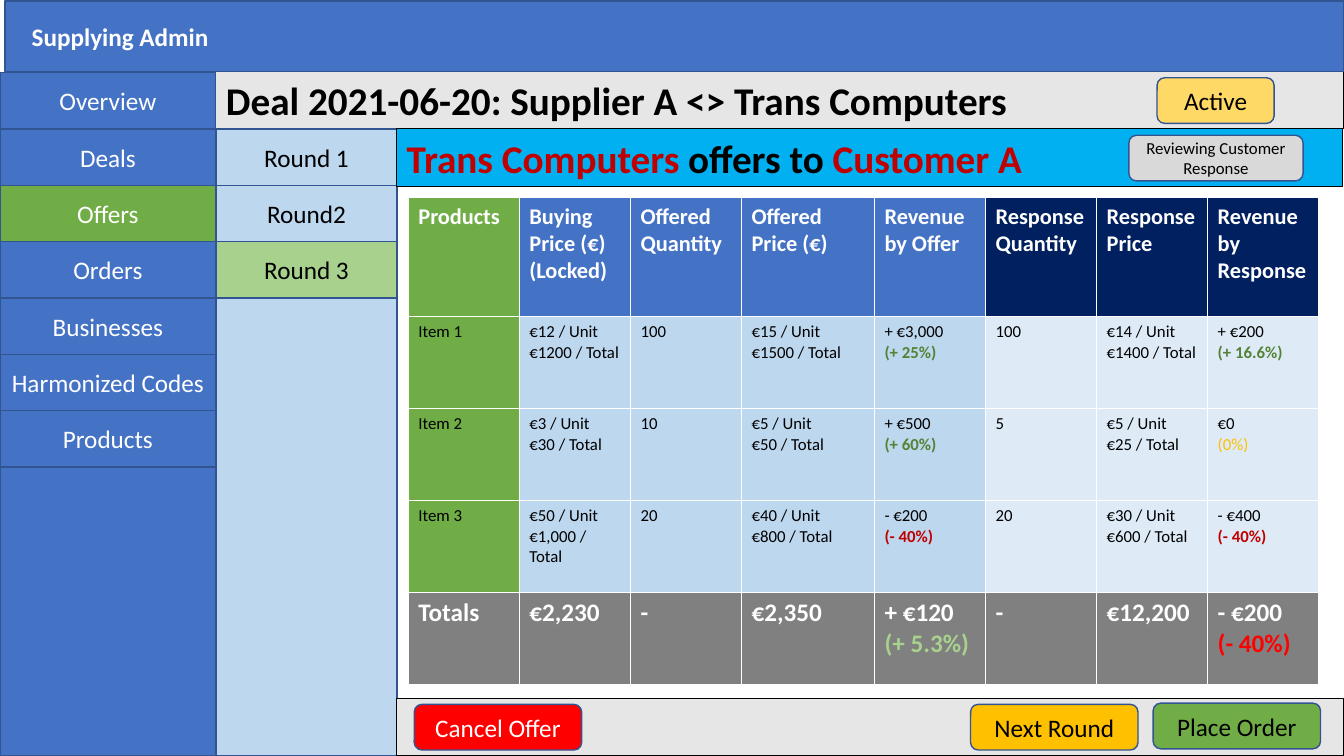
from pptx import Presentation
from pptx.dml.color import RGBColor
from pptx.enum.shapes import MSO_SHAPE
from pptx.enum.text import MSO_ANCHOR, MSO_AUTO_SIZE, PP_ALIGN
from pptx.util import Cm, Pt

WHITE = RGBColor(0xFF, 0xFF, 0xFF)
BLACK = RGBColor(0, 0, 0)
BLUE = RGBColor(0x44, 0x72, 0xC4)
EDGE = RGBColor(0x32, 0x54, 0x91)
NAVY = RGBColor(0, 0x20, 0x60)
SKY = RGBColor(0, 0xB0, 0xF0)
PALE = RGBColor(0xBD, 0xD7, 0xEE)
ICE = RGBColor(0xDE, 0xEB, 0xF7)
GREEN = RGBColor(0x70, 0xAD, 0x47)
MINT = RGBColor(0xA9, 0xD1, 0x8E)
FOREST = RGBColor(0x54, 0x82, 0x35)
RED = RGBColor(0xFF, 0, 0)
CRIMSON = RGBColor(0xC0, 0, 0)
GOLD = RGBColor(0xFF, 0xC0, 0)
YELLOW = RGBColor(0xFF, 0xD9, 0x66)
LIGHT = RGBColor(0xE7, 0xE6, 0xE6)
SILVER = RGBColor(0xD9, 0xD9, 0xD9)
GREY = RGBColor(0x80, 0x80, 0x80)


def style(part, size, color, bold=False):
    for run in part.runs:
        run.font.name = "Calibri"
        run.font.size = Pt(size)
        run.font.bold = bold
        run.font.color.rgb = color


def box(x, y, w, h, fill, text="", color=BLACK, size=18, kind=MSO_SHAPE.RECTANGLE):
    """Add an outlined shape with centred text; lengths are in centimetres."""
    shape = slide.shapes.add_shape(kind, Cm(x), Cm(y), Cm(w), Cm(h))
    shape.shadow.inherit = False
    shape.fill.solid()
    shape.fill.fore_color.rgb = fill
    shape.line.color.rgb = EDGE
    shape.line.width = Pt(1)
    if text:
        shape.text_frame.text = text
        shape.text_frame.vertical_anchor = MSO_ANCHOR.MIDDLE
        line = shape.text_frame.paragraphs[0]
        line.alignment = PP_ALIGN.CENTER
        style(line, size, color)
    return shape


deck = Presentation()
deck.slide_width = Cm(33.87)
deck.slide_height = Cm(19.05)
slide = deck.slides.add_slide(deck.slide_layouts[5])

# Top bar and side menu
box(0, 1.83, 5.44, 17.22, BLUE)
top = box(0.13, 0.03, 33.74, 1.77, BLUE, "Supplying Admin")
top.text_frame.margin_left = Cm(0.67)
label = top.text_frame.paragraphs[0]
label.alignment = PP_ALIGN.LEFT
style(label, 18, WHITE, True)

STEP = 1.42
menu = ["Overview", "Deals", "Offers", "Orders", "Businesses",
        "Harmonized Codes", "Products"]
for i, name in enumerate(menu):
    fill = GREEN if name == "Offers" else BLUE
    box(0, 1.83 + i * STEP, 5.44, STEP, fill, name, WHITE)

# Deal title
title = slide.shapes.title
title.left, title.top, title.width, title.height = Cm(5.44), Cm(1.8), Cm(28.43), Cm(1.45)
title.fill.solid()
title.fill.fore_color.rgb = LIGHT
title.line.color.rgb = BLACK
title.line.width = Pt(0.75)
frame = title.text_frame
frame.text = "Deal 2021-06-20: Supplier A <> Trans Computers"
frame.auto_size = MSO_AUTO_SIZE.NONE
frame.vertical_anchor = MSO_ANCHOR.TOP
frame.paragraphs[0].alignment = PP_ALIGN.LEFT
style(frame.paragraphs[0], 28, BLACK, True)

# Rounds column
box(5.44, 3.27, 4.57, 15.78, PALE)
for i, name in enumerate(["Round 1", "Round2", "Round 3"]):
    box(5.44, 3.25 + i * STEP, 4.57, STEP, MINT if i == 2 else PALE, name)

# Offer strip and footer bar
strip = box(10, 3.25, 23.83, 1.45, SKY)
foot = box(10, 17.6, 23.87, 1.45, LIGHT)
for bar in (strip, foot):
    bar.line.color.rgb = BLACK
    bar.line.width = Pt(0.75)
strip.text_frame.vertical_anchor = MSO_ANCHOR.TOP
line = strip.text_frame.paragraphs[0]
line.alignment = PP_ALIGN.LEFT
words = [("Trans Computers", CRIMSON), (" offers to ", BLACK), ("Customer A", CRIMSON)]
for text, color in words:
    line.add_run().text = text
style(line, 28, BLACK, True)
for run, (text, color) in zip(line.runs, words):
    run.font.color.rgb = color

# Status badges and buttons
for x, y, w, fill, text, color, size in [
    (29.16, 1.96, 2.95, YELLOW, "Active", BLACK, 18),
    (28.45, 3.41, 4.39, SILVER, "Reviewing Customer Response", BLACK, 12),
    (10.44, 17.75, 4.22, RED, "Cancel Offer", WHITE, 18),
    (24.46, 17.75, 4.22, GOLD, "Next Round", BLACK, 18),
    (29.06, 17.72, 4.22, GREEN, "Place Order", BLACK, 18),
]:
    box(x, y, w, 1.15, fill, text, color, size, MSO_SHAPE.ROUNDED_RECTANGLE)

# Offer table
rows = [
    ["Products", "Buying Price (€)\n(Locked)", "Offered Quantity", "Offered Price (€)",
     "Revenue by Offer", "Response Quantity", "Response Price", "Revenue by Response"],
    ["Item 1", "€12 / Unit\n€1200 / Total", "100", "€15 / Unit\n€1500 / Total",
     "+ €3,000\n(+ 25%)", "100", "€14 / Unit\n€1400 / Total", "+ €200\n(+ 16.6%)"],
    ["Item 2", "€3 / Unit\n€30 / Total", "10", "€5 / Unit\n€50 / Total",
     "+ €500\n(+ 60%)", "5", "€5 / Unit\n€25 / Total", "€0\n(0%)"],
    ["Item 3", "€50 / Unit\n€1,000 / Total", "20", "€40 / Unit\n€800 / Total",
     "- €200\n(- 40%)", "20", "€30 / Unit\n€600 / Total", "- €400\n(- 40%)"],
    ["Totals", "€2,230", "-", "€2,350",
     "+ €120\n(+ 5.3%)", "-", "€12,200", "- €200\n(- 40%)"],
]
HEAD = [GREEN] + [BLUE] * 4 + [NAVY] * 3
BODY = [GREEN] + [PALE] * 4 + [ICE] * 3
TOTAL = [GREY] * 8
fills = [HEAD, BODY, BODY, BODY, TOTAL]
sizes = [16, 12, 12, 12, 18]
trend = {"(+": FOREST, "(-": CRIMSON, "(0": GOLD}
sums = {"(+": MINT, "(-": RED}

grid = slide.shapes.add_table(5, 8, Cm(10.29), Cm(4.98), Cm(22.95), Cm(12.28)).table
grid.horz_banding = False
for i, col in enumerate(grid.columns):
    col.width = Cm(3.35 if i == 3 else 2.8)
for i, row in enumerate(grid.rows):
    row.height = Cm(3 if i == 0 else 2.32)
    strong = i in (0, 4)
    tints = sums if i == 4 else trend
    for j, cell in enumerate(row.cells):
        cell.fill.solid()
        cell.fill.fore_color.rgb = fills[i][j]
        cell.text_frame.text = rows[i][j]
        for part in cell.text_frame.paragraphs:
            mark = part.text[:2]
            color = tints.get(mark, WHITE if strong else BLACK)
            style(part, sizes[i], color, strong or mark in ("(+", "(-"))

deck.save("out.pptx")
